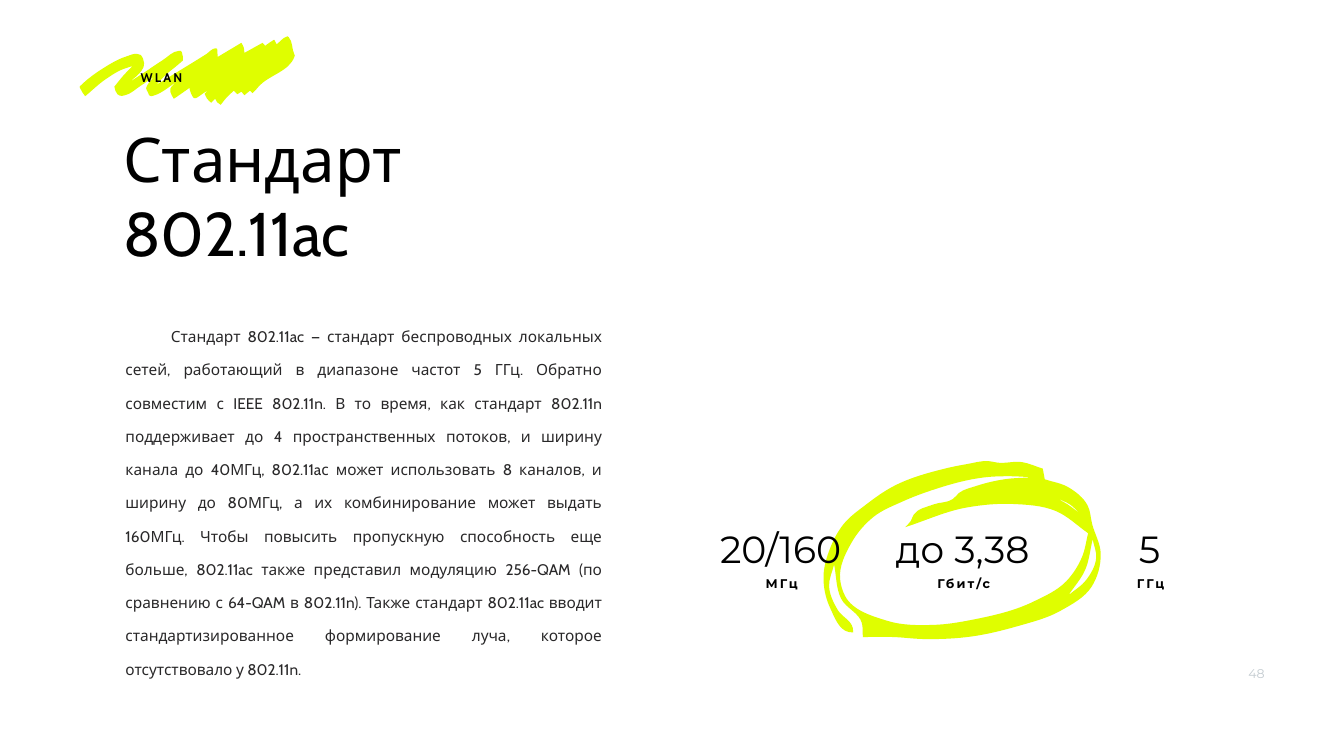
import math
import pptx
import pptx.util
import pptx.oxml
import pptx.oxml.ns
import pptx.dml.color
import pptx.enum.text

Pt = pptx.util.Pt
qn = pptx.oxml.ns.qn
ALIGN = pptx.enum.text.PP_ALIGN
ANCHOR = pptx.enum.text.MSO_ANCHOR

COLORS = {"ink": "000000", "text": "292829", "lime": "DFFE00", "pale": "C3CBD0"}
INCH = 72
BEND = math.radians(50)

RING = [
    """1962,915 1918,921 1870,931 1767,968 1720,1000 1673,1041 1647,1088 1634,1143
    1647,1206 1684,1254 1693,1255 1692,1246 1662,1210 1645,1163 1655,1120 1669,1188
    1710,1236 1712,1264 1772,1264 1833,1268 1927,1263 2017,1243 2104,1212 2166,1164
    2184,1099 2167,1040 2158,1003 2120,967 2073,951 2069,930 2028,917 1979,918""",
    """2007,945 2048,947 1993,951 1938,964 1903,978 1891,990 1852,1001 1813,1021
    1807,1034 1796,1046 1918,1007 2009,1000 2095,1014 2159,1058 2147,1105 2116,1153
    2050,1194 1933,1229 1851,1240 1761,1232 1677,1183 1667,1150 1690,1076 1734,1025
    1791,995 1848,973 1966,946""",
    "2093,987 2123,1001 2144,1020 2117,1000",
    "2168,1070 2175,1107 2155,1151 2120,1181 2153,1131",
]
BRUSH = [
    """160,170 204,136 251,112 272,107 279,109 284,117 286,125 285,133 281,140 257,163
    289,142 322,120 355,101 359,101 361,104 363,120 349,132 334,144 309,169 350,144
    386,122 410,107 427,96 429,96 431,97 432,113 479,85 484,95 485,105 521,85 524,88
    526,91 542,80 544,79 545,80 549,88 568,73 571,72 573,74 584,108 585,110 584,113
    513,172 507,179 501,185 496,180 491,184 485,189 479,182 471,187 464,180 450,193
    438,208 431,203 427,196 419,204 411,196 406,186 413,179 402,186 392,193 388,195
    385,195 383,193 376,176 378,173 361,185 345,196 338,182 338,176 341,171 354,160
    304,190 300,191 296,189 293,182 290,175 291,172 293,168 306,152 278,171 248,189
    238,190 233,187 229,180 227,172 244,151 263,131 240,139 210,157 169,191 159,175
    158,172""",
]
STATS = [(982, "20/160", "МГц"), (1242, "до 3,38", "Гбит/с"), (1509, "5", "ГГц")]
BODY = (
    "Стандарт 802.11ac — стандарт беспроводных локальных сетей, работающий в "
    "диапазоне частот 5 ГГц. Обратно совместим с IEEE 802.11n. В то время, как "
    "стандарт 802.11n поддерживает до 4 пространственных потоков, и ширину канала "
    "до 40МГц, 802.11aс может использовать 8 каналов, и ширину до 80МГц, а их "
    "комбинирование может выдать 160МГц. Чтобы повысить пропускную способность еще "
    "больше, 802.11ac также представил модуляцию 256-QAM (по сравнению с 64-QAM в "
    "802.11n). Также стандарт 802.11ac вводит стандартизированное формирование "
    "луча, которое отсутствовало у 802.11n."
)


def tint(name):
    return pptx.dml.color.RGBColor.from_string(COLORS[name])


def place(shape, left, top, width, height):
    shape.left, shape.top = Pt(left), Pt(top)
    shape.width, shape.height = Pt(width), Pt(height)


def write(shape, text, size, face, color="ink", bold=False, gap=0,
          align=ALIGN.LEFT, lead=1.0, anchor=ANCHOR.TOP, inset=3):
    frame = shape.text_frame
    frame.word_wrap = True
    frame.auto_size = pptx.enum.text.MSO_AUTO_SIZE.NONE
    frame.vertical_anchor = anchor
    if inset is not None:
        frame.margin_left = frame.margin_right = Pt(inset)
        frame.margin_top = frame.margin_bottom = Pt(inset)
    para = frame.paragraphs[0]
    para.alignment = align
    para.line_spacing = lead
    para.space_before = Pt(0)
    run = para.add_run()
    run.text = text
    font = run.font
    font.size, font.name, font.bold = Pt(size), face, bold
    font.color.rgb = tint(color)
    if gap:
        run._r.get_or_add_rPr().set("spc", str(gap * 100))
    return para


def label(slide, box, text, size, face, **style):
    shape = slide.shapes.add_textbox(*map(Pt, box))
    write(shape, text, size, face, **style)


def slope(a, b):
    return math.atan2(b[1] - a[1], b[0] - a[0])


def lean(chord, other, near, far):
    turn = math.remainder(other - chord, math.tau)
    return chord + turn * near / (near + far) if abs(turn) < BEND else chord


def bend(prev, a, b, after):
    chord, size = slope(a, b), math.dist(a, b)
    out = lean(chord, slope(prev, a), size, math.dist(prev, a))
    back = lean(chord, slope(b, after), size, math.dist(b, after))
    if out == back == chord:
        return None
    reach = size / 3
    return [(a[0] + reach * math.cos(out), a[1] + reach * math.sin(out)),
            (b[0] - reach * math.cos(back), b[1] - reach * math.sin(back))]


def smooth(shape, sizes):
    parts = iter(list(shape._element.find(".//" + qn("a:path"))))
    for size in sizes:
        nodes = [next(parts) for _ in range(size + 2)][:-1]
        dots = [(int(n[0].get("x")), int(n[0].get("y"))) for n in nodes[:-1]]
        for i, node in enumerate(nodes[1:]):
            pull = bend(*(dots[(i + k) % size] for k in (-1, 0, 1, 2)))
            if pull:
                node.tag = qn("a:cubicBezTo")
                for spot, (x, y) in enumerate(pull):
                    knob = node.makeelement(
                        qn("a:pt"), {"x": str(round(x)), "y": str(round(y))})
                    node.insert(spot, knob)


def stroke(slide, texts):
    loops = [[tuple(INCH * int(n) for n in pair.split(",")) for pair in text.split()]
             for text in texts]
    pen = slide.shapes.build_freeform(*loops[0][0], scale=Pt(0.01))
    for spot, loop in enumerate(loops):
        if spot:
            pen.move_to(*loop[0])
        pen.add_line_segments(loop[1:] + loop[:1], close=True)
    shape = pen.convert_to_shape()
    smooth(shape, map(len, loops))
    shape.shadow.inherit = False
    shape.fill.solid()
    shape.fill.fore_color.rgb = tint("lime")
    shape.line.fill.background()


def stat(slide, left, value, unit):
    label(slide, (left + 3, 820, 263.5, 28), unit, 18, "Montserrat", bold=True,
          gap=3, align=ALIGN.CENTER, anchor=ANCHOR.MIDDLE)
    label(slide, (left, 734.4, 266.4, 79.2), value, 54, "Montserrat",
          align=ALIGN.CENTER, lead=1.2)


def main():
    deck = pptx.Presentation()
    deck.slide_width, deck.slide_height = Pt(1920), Pt(1080)
    slide = deck.slides.add_slide(deck.slide_layouts[1])
    title, body = slide.placeholders
    stroke(slide, RING)
    place(title, 172.8, 170, 598.3, 247.7)
    write(title, "Стандарт 802.11ac", 88, "Cabin")
    place(body, 172, 442.8, 695.5, 487.4)
    para = write(body, BODY, 22, "Cabin", color="text", align=ALIGN.JUSTIFY,
                 lead=1.8, inset=None)
    props = para._p.get_or_add_pPr()
    props.set("marL", "0")
    props.set("indent", str(Pt(65)))
    mark = props.makeelement(qn("a:buNone"), {})
    props.append(mark)
    for item in STATS:
        stat(slide, *item)
    stroke(slide, BRUSH)
    label(slide, (198, 96.5, 440.6, 28), "WLAN", 18, "Cabin", bold=True, gap=3,
          anchor=ANCHOR.MIDDLE)
    label(slide, (1776.2, 947.5, 70.6, 38.2), "48", 18, "Montserrat",
          color="pale", inset=None)
    deck.save("out.pptx")


if __name__ == "__main__":
    main()
